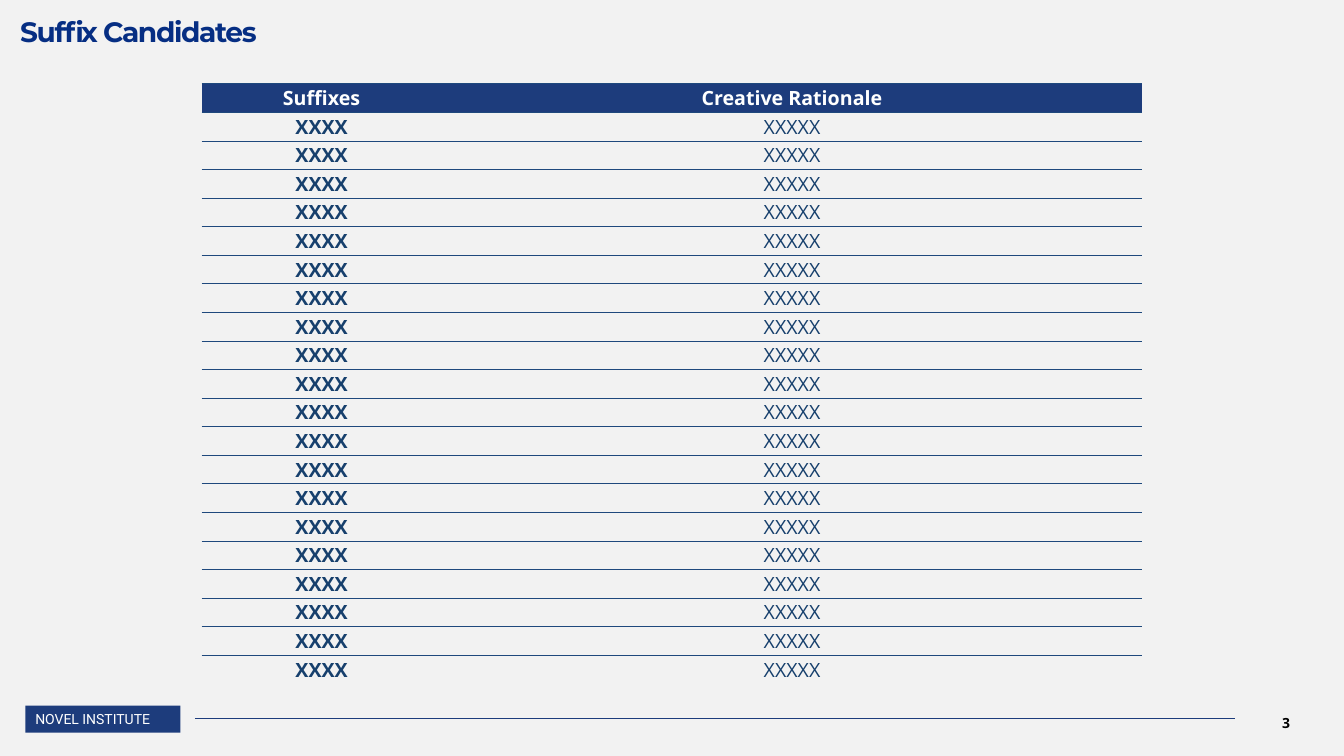
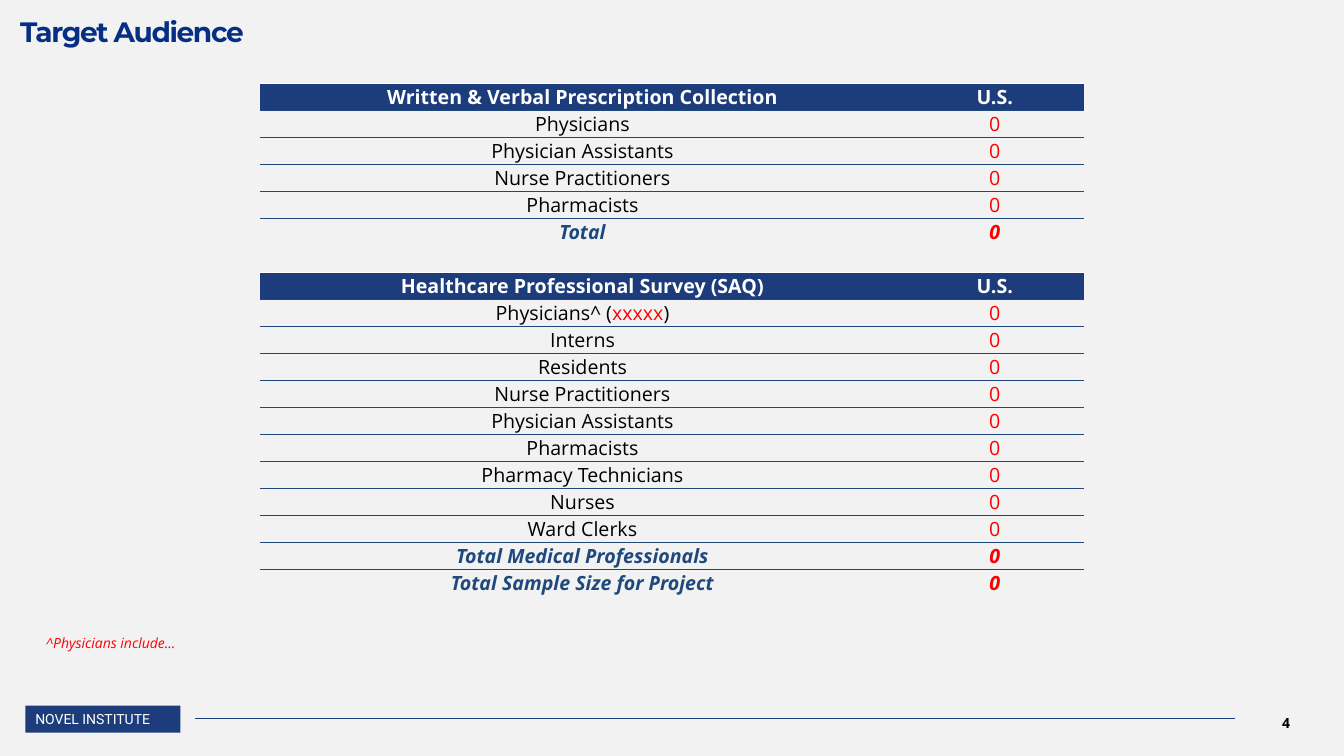
"""Build the suffix candidate and target audience slides."""
import pptx
import pptx.dml.color
import pptx.enum.shapes
import pptx.enum.text
import pptx.oxml
import pptx.oxml.ns
import pptx.util

Cm = pptx.util.Cm
Pt = pptx.util.Pt
colour = pptx.dml.color.RGBColor.from_string
ALIGN = pptx.enum.text.PP_ALIGN
MIDDLE = pptx.enum.text.MSO_ANCHOR.MIDDLE

NAVY, RULE, TITLE, SUFFIX = "1D3C7C", "1F497D", "062E83", "17406D"
WHITE, BLACK, RED, PAPER = "FFFFFF", "000000", "FF0000", "F2F2F2"
PLAIN_TABLE = "{2D5ABB26-0587-4C30-8999-92F81FD0307C}"
TABLE_TOP = 2.11


def write(frame, spans, size, face="Open Sans", bold=False, italic=False, align=ALIGN.LEFT):
    frame.word_wrap = True
    para = frame.paragraphs[0]
    para.alignment = align
    for text, shade in spans:
        span = para.add_run()
        span.text = text
        span.font.name = face
        span.font.size = Pt(size)
        span.font.bold = bold
        span.font.italic = italic
        span.font.color.rgb = colour(shade)


def add_grid(page, left, widths, row_height, rows, top_rule):
    frame = page.shapes.add_table(len(rows), len(widths), Cm(left), Cm(TABLE_TOP),
                                  Cm(sum(widths)), Cm(row_height * len(rows)))
    table = frame.table
    table._tbl.tblPr.find(pptx.oxml.ns.qn("a:tableStyleId")).text = PLAIN_TABLE
    table.horz_banding = False
    for column, width in zip(table.columns, widths):
        column.width = Cm(width)
    kinds = [kind for kind, cells in rows] + ["end"]
    for index, (kind, cells) in enumerate(rows):
        table.rows[index].height = Cm(row_height)
        for cell, content in zip(table.rows[index].cells, cells):
            cell.margin_left = cell.margin_right = cell.margin_top = cell.margin_bottom = 0
            cell.vertical_anchor = MIDDLE
            if kind == "gap":
                cell.fill.background()
                cell.text_frame.paragraphs[0]._p.get_or_add_endParaRPr().set("sz", "1400")
                continue
            spans, bold = content
            write(cell.text_frame, spans, 14, bold=bold, italic=kind == "total", align=ALIGN.CENTER)
            cell.fill.solid()
            cell.fill.fore_color.rgb = colour(NAVY if kind == "head" else PAPER)
            edges = []
            if kind == "head":
                edges.append(("lnT", top_rule))
            if kinds[index + 1] in ("body", "total"):
                edges.append(("lnB", RULE))
            for position, (edge, shade) in enumerate(edges):
                cell._tc.get_or_add_tcPr().insert(position, pptx.oxml.parse_xml(
                    f'<a:{edge} {pptx.oxml.ns.nsdecls("a")} w="6350"><a:solidFill>'
                    f'<a:srgbClr val="{shade}"/></a:solidFill></a:{edge}>'))


deck = pptx.Presentation()
deck.slide_width, deck.slide_height = Cm(33.87), Cm(19.05)

pages = []
for number, title in [(3, "Suffix Candidates"), (4, "Target Audience")]:
    page = deck.slides.add_slide(deck.slide_layouts[6])
    pages.append(page)
    page.background.fill.solid()
    page.background.fill.fore_color.rgb = colour(PAPER)

    box = page.shapes.add_textbox(Cm(31.01), Cm(17.7), Cm(2.8), Cm(1.02))
    box.text_frame.vertical_anchor = MIDDLE
    write(box.text_frame, [(str(number), BLACK)], 10, bold=True, align=ALIGN.CENTER)

    label = page.shapes.add_shape(pptx.enum.shapes.MSO_SHAPE.RECTANGLE,
                                  Cm(0.64), Cm(17.78), Cm(3.91), Cm(0.68))
    label.shadow.inherit = False
    label.fill.solid()
    label.fill.fore_color.rgb = colour(NAVY)
    label.line.fill.background()
    label.text_frame.vertical_anchor = MIDDLE
    write(label.text_frame, [("NOVEL INSTITUTE", WHITE)], 10, "Roboto")

    rule = page.shapes.add_connector(pptx.enum.shapes.MSO_CONNECTOR.STRAIGHT,
                                     Cm(4.91), Cm(18.09), Cm(31.13), Cm(18.09))
    rule.line.color.rgb = colour(NAVY)
    rule.line.width = Pt(0.5)
    rule._element.spPr.append(pptx.oxml.parse_xml(
        f'<a:effectLst {pptx.oxml.ns.nsdecls("a")}/>'))

    box = page.shapes.add_textbox(Cm(0.51), Cm(0), Cm(32.56), Cm(1.22))
    frame = box.text_frame
    frame.margin_left = frame.margin_right = frame.margin_bottom = 0
    frame.margin_top = Cm(0.53)
    write(frame, [(title, TITLE)], 20, "Montserrat", bold=True)
    frame.paragraphs[0].line_spacing = 0.8
    frame.paragraphs[0].runs[0].font._element.set("spc", "-100")

suffix_page, audience_page = pages

heading = ("head", [([(text, WHITE)], True) for text in ("Suffixes", "Creative Rationale")])
candidate = ("body", [([("XXXX", SUFFIX)], True), ([("XXXXX", SUFFIX)], False)])
add_grid(suffix_page, 5.08, [6.05, 17.66], 0.72, [heading] + [candidate] * 20, RULE)

surveys = [
    ("Written & Verbal Prescription Collection",
     ["Physicians", "Physician Assistants", "Nurse Practitioners", "Pharmacists"],
     ["Total"]),
    ("Healthcare Professional Survey (SAQ)",
     ["Physicians^ (xxxxx)", "Interns", "Residents", "Nurse Practitioners",
      "Physician Assistants", "Pharmacists", "Pharmacy Technicians", "Nurses", "Ward Clerks"],
     ["Total Medical Professionals", "Total Sample Size for Project"]),
]
audience_rows = []
for survey, groups, totals in surveys:
    if audience_rows:
        audience_rows.append(("gap", [None, None]))
    audience_rows.append(("head", [([(survey, WHITE)], True), ([("U.S.", WHITE)], True)]))
    for group in groups:
        before, blank, after = group.partition("xxxxx")
        spans = [(text, shade) for text, shade in
                 ((before, BLACK), (blank, RED), (after, BLACK)) if text]
        audience_rows.append(("body", [(spans, False), ([("0", RED)], False)]))
    for total in totals:
        audience_rows.append(("total", [([(total, RULE)], True), ([("0", RED)], True)]))
add_grid(audience_page, 6.54, [16.28, 4.5], 0.68, audience_rows, WHITE)

footnote = audience_page.shapes.add_textbox(Cm(0.91), Cm(15.85), Cm(31.88), Cm(0.69))
footnote.text_frame.vertical_anchor = MIDDLE
write(footnote.text_frame, [("^Physicians include...", RED)], 10, italic=True)

deck.save("out.pptx")
